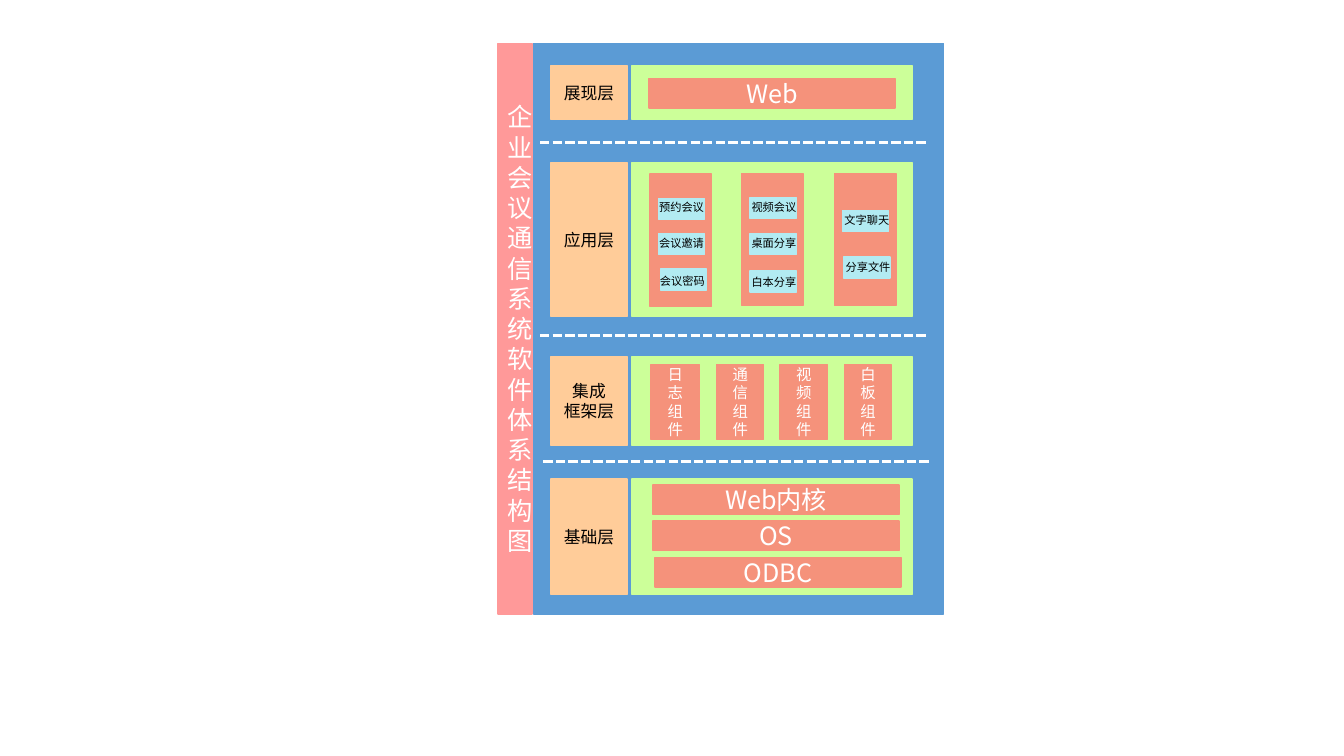
from pptx import Presentation
from pptx.dml.color import RGBColor
from pptx.enum.dml import MSO_LINE
from pptx.enum.shapes import MSO_CONNECTOR, MSO_SHAPE
from pptx.enum.text import MSO_ANCHOR, PP_ALIGN
from pptx.oxml.ns import qn
from pptx.util import Cm, Pt
from lxml.etree import SubElement

FONT = "Noto Sans CJK JP"
BLUE = RGBColor(0x5B, 0x9B, 0xD5)
PINK = RGBColor(0xFF, 0x99, 0x99)
PEACH = RGBColor(0xFF, 0xCC, 0x99)
LIME = RGBColor(0xCC, 0xFF, 0x99)
CORAL = RGBColor(0xF5, 0x92, 0x7B)
AQUA = RGBColor(0xB2, 0xEB, 0xF2)
WHITE = RGBColor(0xFF, 0xFF, 0xFF)
BLACK = RGBColor(0, 0, 0)

# Content, all lengths in cm
TITLE = "企业会议通信系统软件体系结构图"
LAYERS = [  # label, top, height
    ("展现层", 1.65, 1.37),
    ("应用层", 4.09, 3.89),
    ("集成\n框架层", 8.99, 2.24),
    ("基础层", 12.07, 2.92),
]
RULES = [(13.61, 3.58), (13.61, 8.46), (13.69, 11.63)]
BARS = [  # text, left, top
    ("Web", 16.36, 1.98),
    ("Web内核", 16.46, 12.22),
    ("OS", 16.46, 13.13),
    ("ODBC", 16.51, 14.05),
]
GROUPS = [  # left, top, tags: text, left, top, text shift
    (16.38, 4.39, [("预约会议", 16.59, 5.0, -0.23, -0.07),
                   ("会议邀请", 16.59, 5.89, -0.23, -0.05),
                   ("会议密码", 16.64, 6.78, -0.26, 0)]),
    (18.69, 4.37, [("视频会议", 18.9, 4.98, -0.21, -0.05),
                   ("桌面分享", 18.9, 5.89, -0.21, -0.05),
                   ("白本分享", 18.9, 6.83, -0.21, -0.02)]),
    (21.03, 4.37, [("文字聊天", 21.23, 5.31, -0.2, -0.05),
                   ("分享文件", 21.26, 6.48, -0.2, -0.05)]),
]
PARTS = [  # text, left, width
    ("日志组件", 16.41, 1.22),
    ("通信组件", 18.06, 1.19),
    ("视频组件", 19.66, 1.19),
    ("白板组件", 21.29, 1.17),
]

deck = Presentation()
deck.slide_width, deck.slide_height = Cm(33.87), Cm(19.05)
slide = deck.slides.add_slide(deck.slide_layouts[6])
shapes = slide.shapes


def write(shape, text, size=18, color=WHITE, align=PP_ALIGN.CENTER,
          anchor=MSO_ANCHOR.MIDDLE):
    frame = shape.text_frame
    frame.word_wrap = True
    frame.vertical_anchor = anchor
    frame.text = text
    for para in frame.paragraphs:
        para.alignment = align
        for run in para.runs:
            run.font.size = Pt(size)
            run.font.name = FONT
            run.font.color.rgb = color
            SubElement(run.font._element, qn("a:ea")).set("typeface", FONT)


def box(left, top, width, height, fill):
    shape = shapes.add_shape(MSO_SHAPE.RECTANGLE, Cm(left), Cm(top),
                             Cm(width), Cm(height))
    shape.shadow.inherit = False
    shape.fill.solid()
    shape.fill.fore_color.rgb = fill
    shape.line.color.rgb = fill
    shape.line.width = Pt(1)
    return shape


def rule(left, top, width=9.78):
    line = shapes.add_connector(MSO_CONNECTOR.STRAIGHT, Cm(left), Cm(top),
                                Cm(left + width), Cm(top))
    line.line.color.rgb = WHITE
    line.line.width = Pt(2.25)
    line.line.dash_style = MSO_LINE.SQUARE_DOT
    SubElement(line._element.spPr, qn("a:effectLst"))


# Backdrop and title strip
box(13.44, 1.09, 10.34, 14.38, BLUE)
write(box(12.55, 1.09, 0.86, 14.38, PINK), TITLE)

# Layers and dividers
for label, top, high in LAYERS:
    write(box(13.89, top, 1.91, high, PEACH), label, size=12, color=BLACK)
    box(15.93, top, 7.06, high, LIME)
for left, top in RULES:
    rule(left, top)

# Wide bars of the top and base layers
for text, left, top in BARS:
    write(box(left, top, 6.2, 0.74, CORAL), text)

# Application groups with their tags
for left, top, tags in GROUPS:
    box(left, top, 1.55, 3.33, CORAL)
    for text, x, y, dx, dy in tags:
        box(x, y, 1.17, 0.53, AQUA)
        note = shapes.add_textbox(Cm(x + dx), Cm(y + dy), Cm(1.75), Cm(0.61))
        write(note, text, size=8, color=BLACK, align=PP_ALIGN.LEFT,
              anchor=MSO_ANCHOR.TOP)

# Framework components
for text, left, width in PARTS:
    write(box(left, 9.19, width, 1.88, CORAL), text, size=11)

deck.save("out.pptx")
